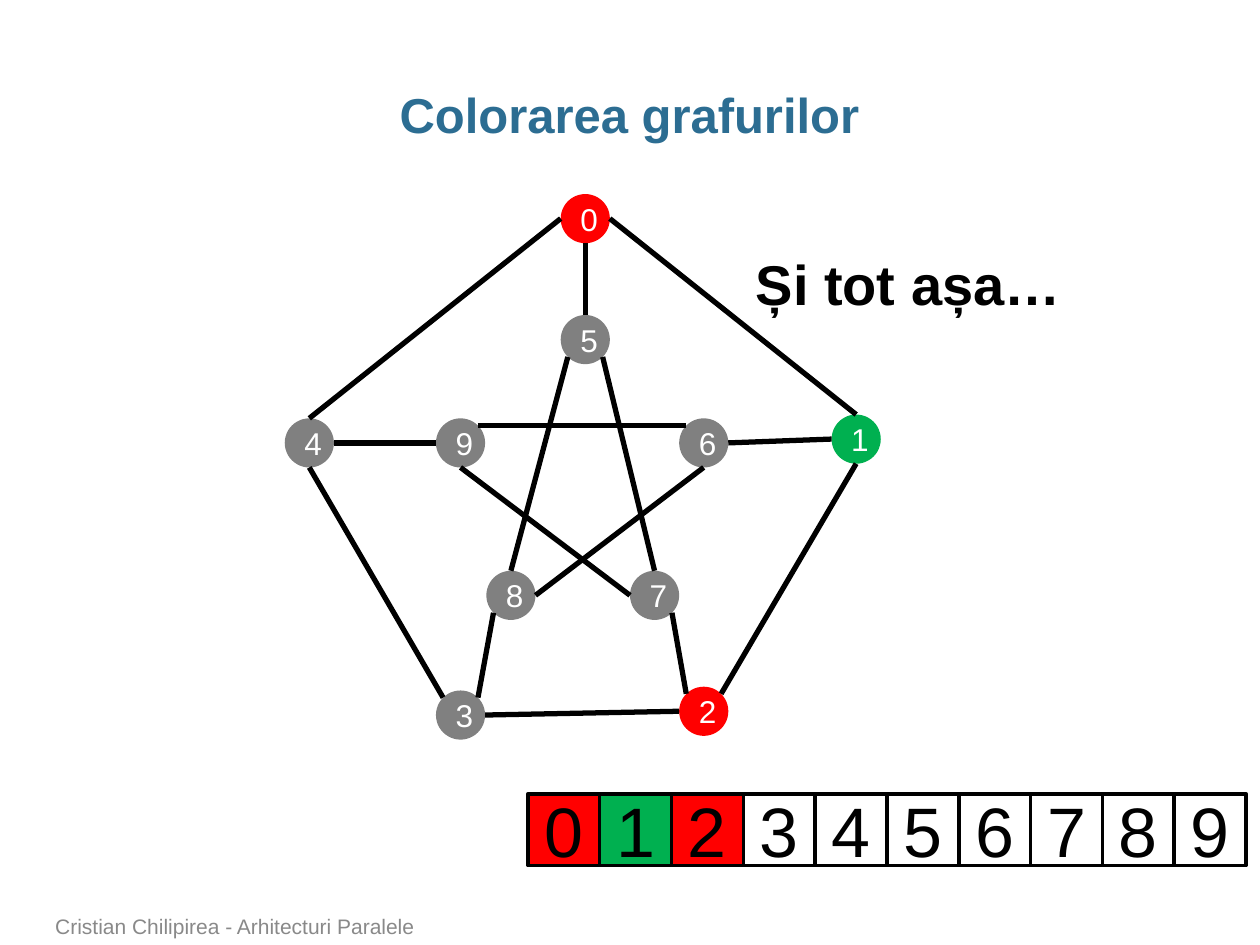
from lxml import etree
from pptx import Presentation
from pptx.dml.color import RGBColor
from pptx.enum.shapes import MSO_CONNECTOR, MSO_SHAPE
from pptx.enum.text import MSO_ANCHOR, MSO_AUTO_SIZE, PP_ALIGN
from pptx.oxml.ns import qn
from pptx.util import Inches, Pt

STRAIGHT = MSO_CONNECTOR.STRAIGHT
OVAL, RECTANGLE = MSO_SHAPE.OVAL, MSO_SHAPE.RECTANGLE
TOP, MIDDLE, BOTTOM = MSO_ANCHOR.TOP, MSO_ANCHOR.MIDDLE, MSO_ANCHOR.BOTTOM
LEFT, CENTER = PP_ALIGN.LEFT, PP_ALIGN.CENTER
NO_FIT, GROW = MSO_AUTO_SIZE.NONE, MSO_AUTO_SIZE.SHAPE_TO_FIT_TEXT

COLORS = {
    "title": "2C6D92", "red": "FF0000", "green": "00B050", "gray": "808080",
    "black": "000000", "white": "FFFFFF", "footer": "898989",
}
ASSIGNED = {0: "red", 1: "green", 2: "red"}
NODE_SIZE = 0.39
NODES = {
    0: (4.45, 1.54), 1: (6.6, 3.29), 2: (5.39, 5.45), 3: (3.46, 5.48),
    4: (2.26, 3.32), 5: (4.45, 2.5), 6: (5.39, 3.32), 7: (5, 4.53),
    8: (3.86, 4.53), 9: (3.46, 3.32),
}
DIRECTIONS = {
    "N": (0, -1), "S": (0, 1), "W": (-1, 0), "E": (1, 0),
    "NW": (-0.71, -0.71), "NE": (0.71, -0.71),
    "SW": (-0.71, 0.71), "SE": (0.71, 0.71),
}
EDGES = [
    (0, "S", 5, "N"), (0, "W", 4, "N"), (4, "S", 3, "NW"),
    (3, "E", 2, "W"), (0, "E", 1, "N"), (1, "S", 2, "NE"),
    (5, "SW", 8, "N"), (5, "SE", 7, "N"), (9, "NE", 6, "NW"),
    (9, "S", 7, "W"), (6, "S", 8, "E"), (1, "W", 6, "E"),
    (7, "SE", 2, "NW"), (8, "SW", 3, "NE"), (9, "W", 4, "E"),
]
CELL_SIZE, ROW_LEFT, ROW_TOP = 0.57, 4.19, 6.3


def rgb(name):
    return RGBColor.from_string(COLORS[name])


def write(frame, text, size, color, align=LEFT, anchor=TOP, bold=False):
    frame.vertical_anchor = anchor
    para = frame.paragraphs[0]
    para.text = text
    para.alignment = align
    font = para.font
    font.name, font.size, font.bold = "Arial", Pt(size), bold
    font.color.rgb = rgb(color)
    return para


def add_title(page, text):
    title = page.shapes.title
    title.left, title.top = Inches(0.34), Inches(0.68)
    title.width, title.height = Inches(9.31), Inches(0.5)
    frame = title.text_frame
    frame.auto_size = NO_FIT
    frame.margin_left = frame.margin_right = 0
    para = write(frame, text, 28, "title", CENTER, MIDDLE, bold=True)
    para.line_spacing = 0.95


def add_numbered_shape(page, kind, left, top, side, number, size, color):
    shape = page.shapes.add_shape(
        kind, Inches(left), Inches(top), Inches(side), Inches(side))
    shape.shadow.inherit = False
    write(shape.text_frame, str(number), size, color, CENTER, MIDDLE)
    return shape


def add_node(page, number):
    left, top = NODES[number]
    node = add_numbered_shape(
        page, OVAL, left, top, NODE_SIZE, number, 18, "white")
    node.fill.solid()
    node.fill.fore_color.rgb = rgb(ASSIGNED.get(number, "gray"))
    node.line.fill.background()


def add_cell(page, number, left):
    cell = add_numbered_shape(
        page, RECTANGLE, left, ROW_TOP, CELL_SIZE, number, 40, "black")
    if number in ASSIGNED:
        cell.fill.solid()
        cell.fill.fore_color.rgb = rgb(ASSIGNED[number])
    else:
        cell.fill.background()
    cell.line.color.rgb = rgb("black")
    cell.line.width = Pt(2)


def rim_point(number, direction):
    radius = NODE_SIZE / 2
    return [Inches(start + radius * (1 + step))
            for start, step in zip(NODES[number], DIRECTIONS[direction])]


def add_edge(page, first, first_side, second, second_side):
    edge = page.shapes.add_connector(
        STRAIGHT, *rim_point(first, first_side), *rim_point(second, second_side))
    edge.line.color.rgb = rgb("black")
    edge.line.width = Pt(3)
    etree.SubElement(edge._element.spPr, qn("a:effectLst"))


def add_text(page, left, top, width, height, wrap, fit):
    box = page.shapes.add_textbox(
        Inches(left), Inches(top), Inches(width), Inches(height))
    frame = box.text_frame
    frame.word_wrap = wrap
    frame.auto_size = fit
    return frame


def main():
    deck = Presentation()
    deck.slide_width, deck.slide_height = Inches(10), Inches(7.5)
    page = deck.slides.add_slide(deck.slide_layouts[5])
    add_title(page, "Colorarea grafurilor")
    for number in NODES:
        add_node(page, number)
    for edge in EDGES:
        add_edge(page, *edge)
    for number in range(10):
        add_cell(page, number, ROW_LEFT + number * CELL_SIZE)
    remark = add_text(page, 5.9, 1.93, 2.64, 0.64, False, GROW)
    write(remark, "Și tot așa…", 32, "black", bold=True)
    footer = add_text(page, 0.34, 7.22, 7.37, 0.28, True, NO_FIT)
    write(footer, "Cristian Chilipirea - Arhitecturi Paralele", 12, "footer",
          anchor=BOTTOM)
    deck.save("out.pptx")


main()
